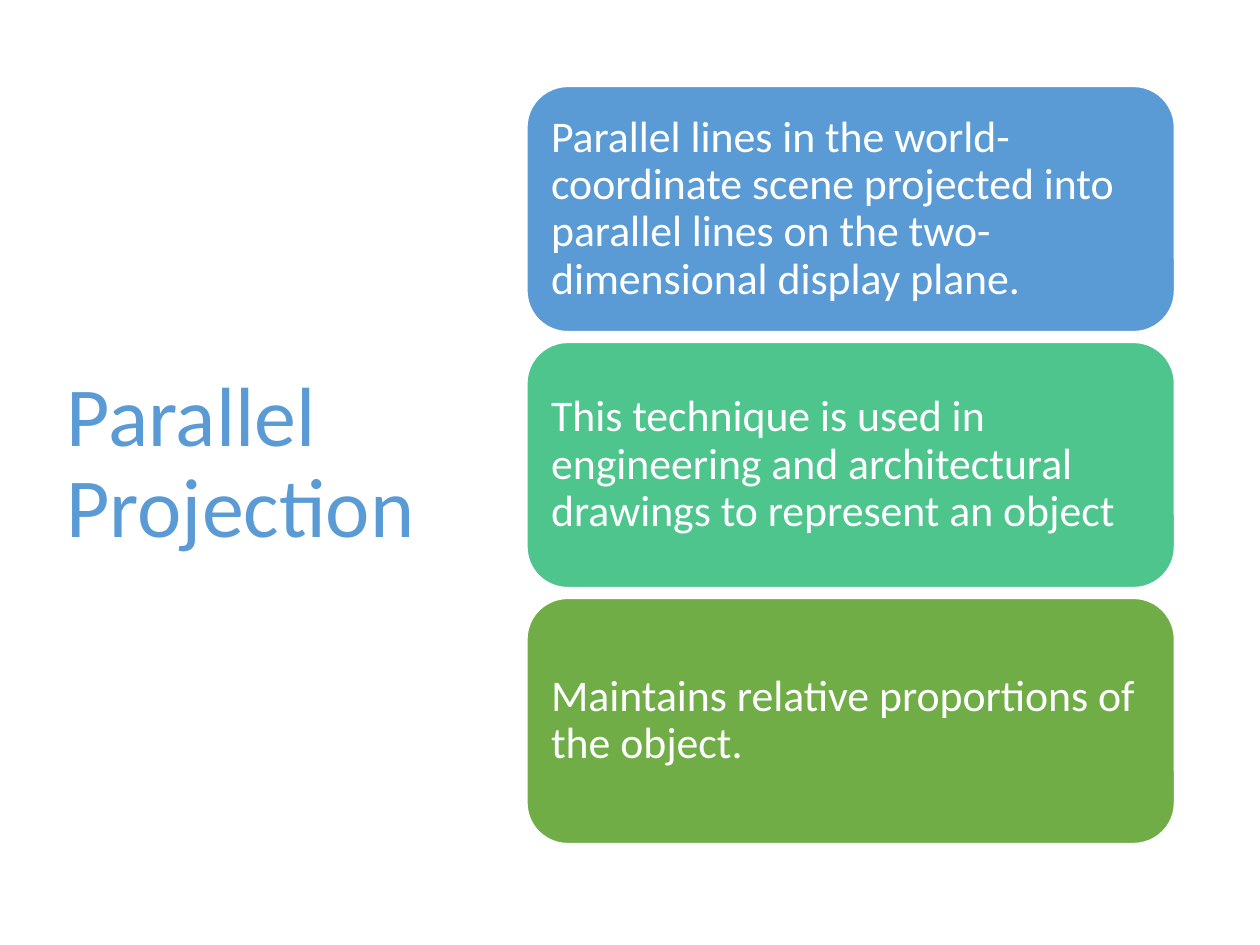
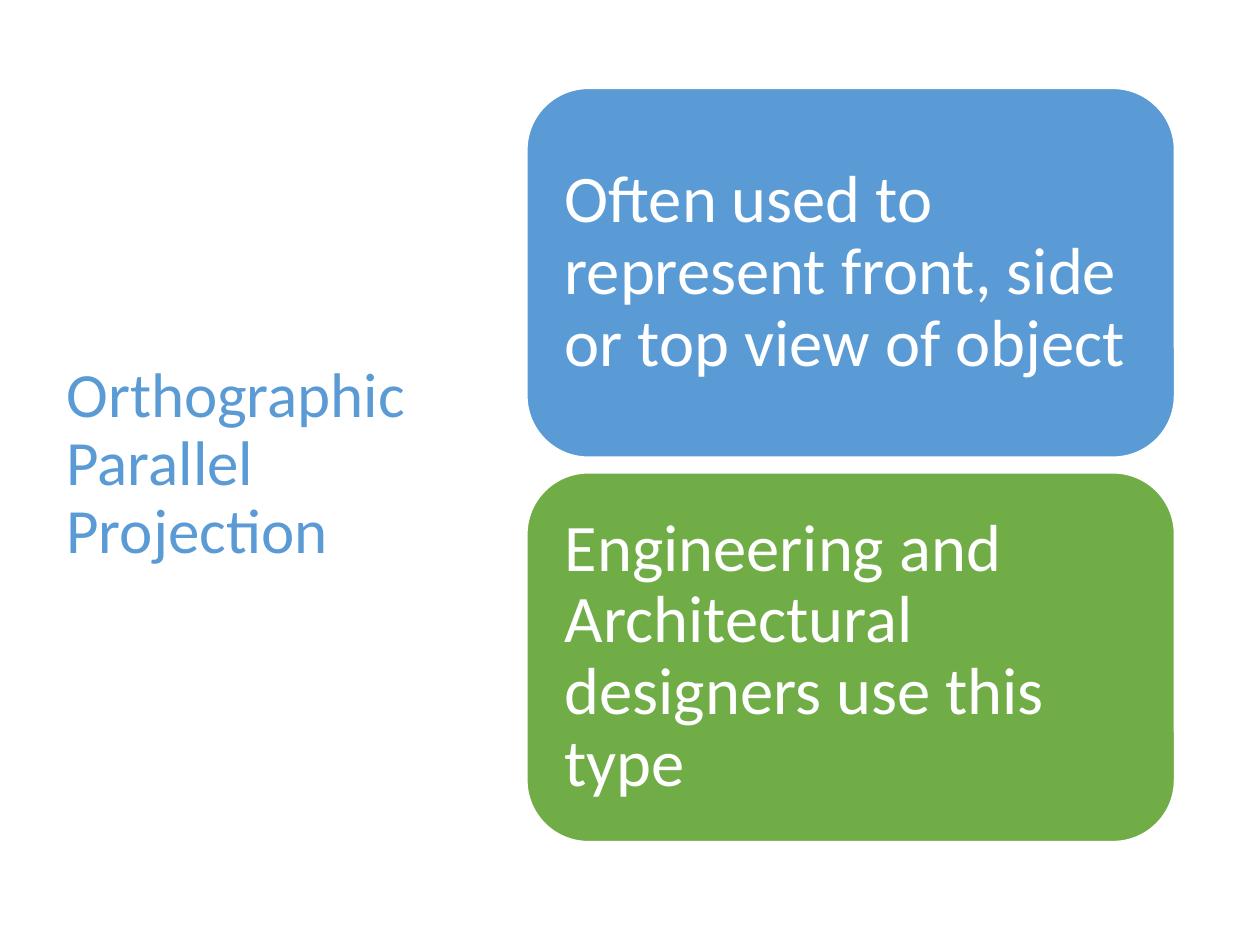
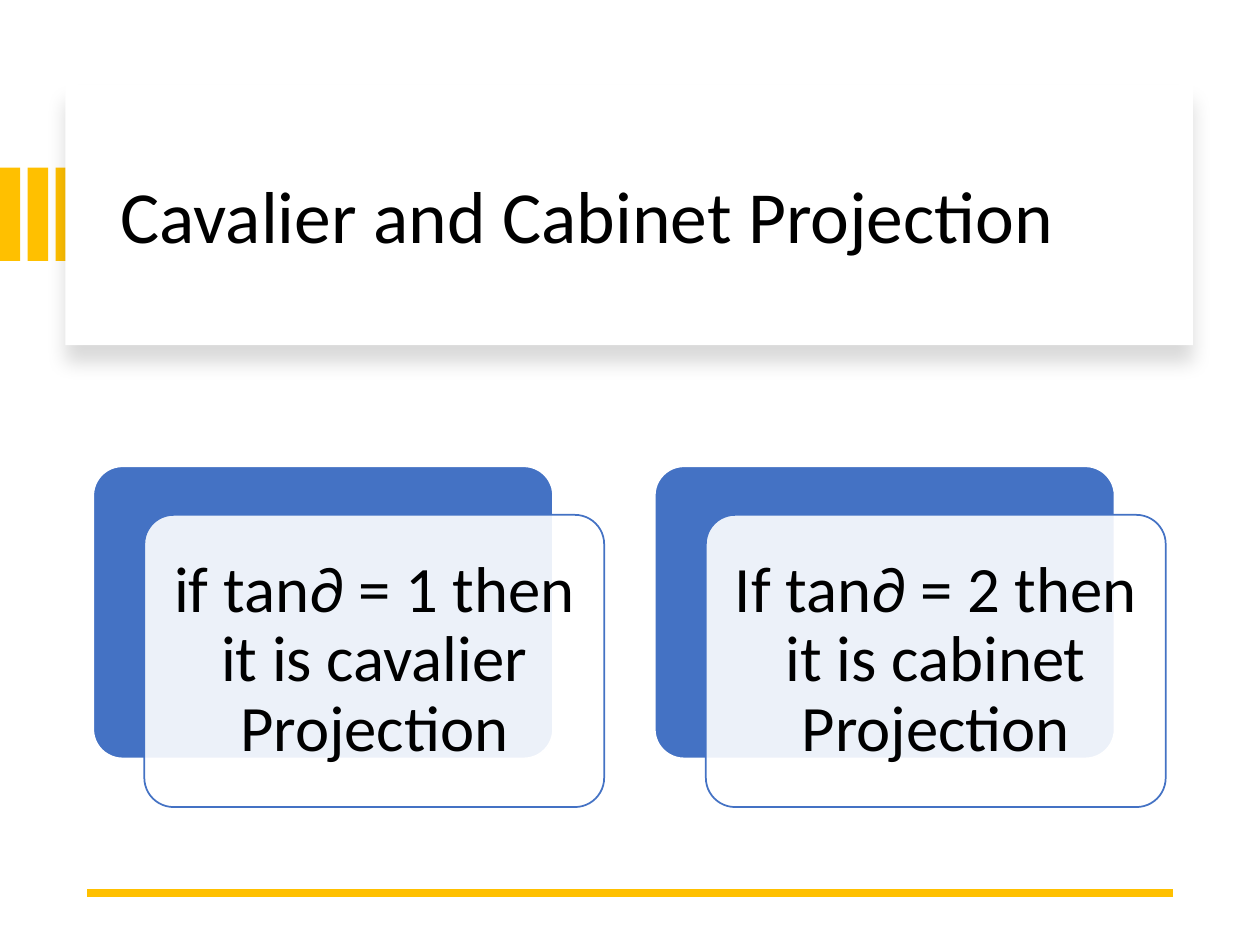
from lxml import etree
from pptx import Presentation
from pptx.dml.color import RGBColor
from pptx.enum.shapes import MSO_CONNECTOR, MSO_SHAPE
from pptx.enum.text import MSO_ANCHOR, MSO_AUTO_SIZE, PP_ALIGN
from pptx.oxml import parse_xml
from pptx.oxml.ns import nsdecls, qn
from pptx.util import Cm, Pt

FONT = "Calibri"
WHITE = RGBColor(0xFF, 0xFF, 0xFF)
BLACK = RGBColor(0x00, 0x00, 0x00)
BLUE = RGBColor(0x5B, 0x9B, 0xD5)
TEAL = RGBColor(0x4D, 0xC5, 0x8D)
GREEN = RGBColor(0x70, 0xAD, 0x47)
ROYAL = RGBColor(0x44, 0x72, 0xC4)
GOLD = RGBColor(0xFF, 0xC0, 0x00)


def write(sp, text, size, color, align=PP_ALIGN.LEFT, inset=0.25):
    """Fill a shape or placeholder with one vertically centred paragraph."""
    tf = sp.text_frame
    tf.word_wrap = True
    tf.auto_size = MSO_AUTO_SIZE.NONE
    tf.vertical_anchor = MSO_ANCHOR.MIDDLE
    tf.margin_left = tf.margin_right = Cm(inset)
    tf.margin_top = tf.margin_bottom = Cm(inset)
    p = tf.paragraphs[0]
    p.alignment = align
    p.line_spacing = 0.9
    r = p.add_run()
    r.text = text
    r.font.name = FONT
    r.font.size = Pt(size)
    r.font.color.rgb = color


def add_box(slide, kind, left, top, width, height, fill, line=None):
    sp = slide.shapes.add_shape(kind, Cm(left), Cm(top), Cm(width), Cm(height))
    sp.shadow.inherit = False
    sp.fill.solid()
    sp.fill.fore_color.rgb = fill
    if line is None:
        sp.line.fill.background()
    else:
        sp.line.color.rgb = line
        sp.line.width = Pt(1)
    return sp


prs = Presentation()
prs.slide_width, prs.slide_height = Cm(25.4), Cm(19.05)
title_only = prs.slide_layouts[5]

# Slides 1 and 2: title on the left, a stack of cards on the right
stacks = [
    dict(title="Parallel Projection", title_size=48, size=25, inset=0.25,
         top=1.74, height=4.95, gap=0.21,
         cards=[("Parallel lines in the world-coordinate scene projected into "
                 "parallel lines on the two-dimensional display plane.", BLUE),
                ("This technique is used in engineering and architectural "
                 "drawings to represent an object", TEAL),
                ("Maintains relative proportions of the object.", GREEN)]),
    dict(title="Orthographic Parallel Projection", title_size=36, size=38, inset=0.4,
         top=1.78, height=7.44, gap=0.31,
         cards=[("Often used to represent front, side or top view of object", BLUE),
                ("Engineering and Architectural designers use this type", GREEN)]),
]
for stack in stacks:
    slide = prs.slides.add_slide(title_only)
    title = slide.shapes.title
    title.left, title.top, title.width, title.height = Cm(1.09), Cm(1.73), Cm(7.92), Cm(15.29)
    write(title, stack["title"], stack["title_size"], BLUE)
    for i, (text, color) in enumerate(stack["cards"]):
        top = stack["top"] + i * (stack["height"] + stack["gap"])
        card = add_box(slide, MSO_SHAPE.ROUNDED_RECTANGLE, 10.62, top, 13.06,
                       stack["height"], color, WHITE)
        write(card, text, stack["size"], WHITE, inset=stack["inset"])

# Slide 3: title panel with gold bars, two layered cards
slide = prs.slides.add_slide(title_only)
for i in range(3):
    add_box(slide, MSO_SHAPE.RECTANGLE, i * 0.56, 3.38, 0.41, 1.88, GOLD)

panel = add_box(slide, MSO_SHAPE.RECTANGLE, 1.32, 1.7, 22.73, 5.26, WHITE)
effects = panel._element.spPr.find(qn("a:effectLst"))
effects.append(parse_xml(
    f'<a:outerShdw {nsdecls("a")} blurRad="{Pt(11)}" dist="{Pt(10)}" dir="5400000" '
    'algn="t" rotWithShape="0"><a:srgbClr val="000000"><a:alpha val="15000"/>'
    '</a:srgbClr></a:outerShdw>'))

title = slide.shapes.title
title.left, title.top, title.width, title.height = Cm(2.18), Cm(2.26), Cm(21.18), Cm(4.32)
write(title, "Cavalier and Cabinet Projection", 42, BLACK)
slide.shapes._spTree.append(title._element)  # bring the title in front of its panel

rule = slide.shapes.add_connector(MSO_CONNECTOR.STRAIGHT, Cm(23.65), Cm(18.01), Cm(1.75), Cm(18.01))
rule.line.color.rgb = GOLD
rule.line.width = Pt(4.5)
etree.SubElement(rule._element.spPr, qn("a:effectLst"))

cases = ["if tan∂ = 1 then it is cavalier Projection",
         "If tan∂ = 2 then it is cabinet Projection"]
for i, text in enumerate(cases):
    left, top = 1.88 + i * 11.32, 9.4
    back = add_box(slide, MSO_SHAPE.ROUNDED_RECTANGLE, left, top, 9.27, 5.89, ROYAL, WHITE)
    front = add_box(slide, MSO_SHAPE.ROUNDED_RECTANGLE, left + 1.03, top + 0.98, 9.27, 5.89,
                    WHITE, ROYAL)
    back.adjustments[0] = front.adjustments[0] = 0.1
    color = front._element.spPr.find(qn("a:solidFill"))[0]
    etree.SubElement(color, qn("a:alpha"), val="90000")
    write(front, text, 37, BLACK, align=PP_ALIGN.CENTER, inset=0.38)

prs.save("out.pptx")
